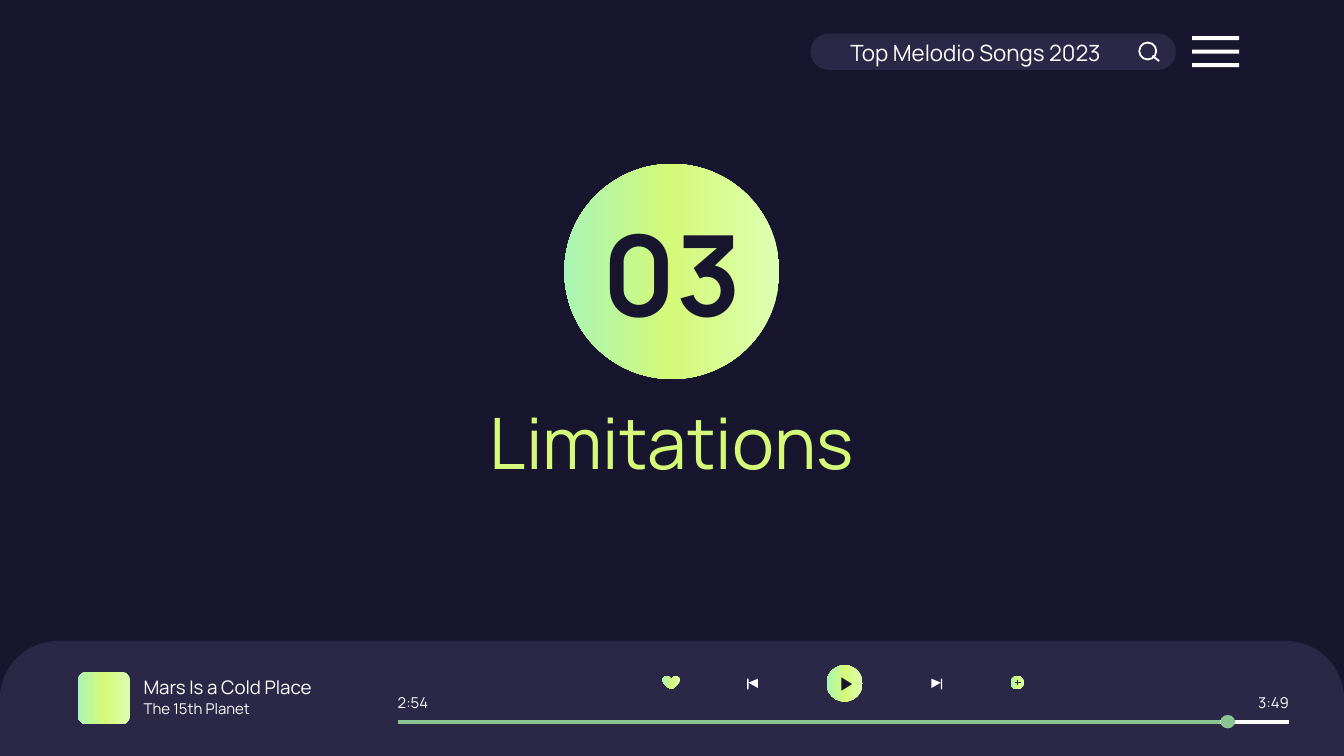
"""Build the "Limitations" section slide styled as a music player."""
from copy import deepcopy

from pptx import Presentation
from pptx.dml.color import RGBColor
from pptx.enum.shapes import MSO_CONNECTOR, MSO_SHAPE
from pptx.enum.text import MSO_ANCHOR, MSO_AUTO_SIZE, PP_ALIGN
from pptx.oxml.ns import qn
from pptx.util import Inches, Pt

RECT, OVAL, RING = MSO_SHAPE.RECTANGLE, MSO_SHAPE.OVAL, MSO_SHAPE.DONUT
PILL, TAB, HEART = MSO_SHAPE.ROUNDED_RECTANGLE, MSO_SHAPE.ROUND_2_SAME_RECTANGLE, MSO_SHAPE.HEART
LEFT, CENTER, RIGHT = PP_ALIGN.LEFT, PP_ALIGN.CENTER, PP_ALIGN.RIGHT

FONT = "Manrope"
NAVY, PANEL, WHITE, LIME, GREEN = "17162E", "2A2747", "FFFFFF", "D5F979", "88C591"
GRADIENT = [(0, "DDFFB2"), (0.5, LIME), (1, "A9F5B4")]

MENU_BARS = [(RECT, (8.87, 0.27 + 0.1 * i, 0.35, 0.03), WHITE, ()) for i in range(3)]
SHAPES = [
    (PILL, (6.03, 0.25, 2.72, 0.27), PANEL, (0.5,)),
    *MENU_BARS,
    (RING, (8.47, 0.31, 0.14, 0.14), WHITE, (0.1,)),
    (TAB, (0, 4.77, 10, 0.86), PANEL, (0.5, 0)),
    (PILL, (0.58, 5, 0.39, 0.39), GRADIENT, (0.167,)),
    (HEART, (4.93, 5.03, 0.13, 0.1), GRADIENT, ()),
    (OVAL, (7.52, 5.03, 0.1, 0.1), GRADIENT, ()),
    (OVAL, (6.15, 4.95, 0.27, 0.27), GRADIENT, ()),
    (OVAL, (4.2, 1.22, 1.6, 1.6), GRADIENT, ()),
    (RECT, (7, 5.05, 0.01, 0.08), WHITE, ()),
    (RECT, (5.56, 5.05, 0.01, 0.08), WHITE, ()),
]
POLYGONS = [
    ([(8.58, 0.41), (8.57, 0.42), (8.62, 0.46), (8.63, 0.45)], WHITE),
    ([(6.26, 5.04), (6.26, 5.14), (6.34, 5.09)], NAVY),
    ([(6.93, 5.05), (6.93, 5.12), (7, 5.08)], WHITE),
    ([(5.64, 5.05), (5.57, 5.08), (5.64, 5.12)], WHITE),
]
PLUS = [((7.57, 5.06), (7.57, 5.1)), ((7.6, 5.08), (7.55, 5.08))]
TRACK_START, TRACK_END, TRACK_Y, PLAYED = 2.96, 9.59, 5.37, 9.08
LABELS = [
    ("Mars Is a Cold Place", (0.97, 5.03, 1.91, 0.17), dict(size=10)),
    ("The 15th Planet", (0.97, 5.19, 1.15, 0.17), dict(size=8)),
    ("2:54", (2.96, 5.14, 0.27, 0.17), dict(size=8, inset=0)),
    ("3:49", (9.32, 5.14, 0.27, 0.17), dict(size=8, inset=0, align=RIGHT)),
    ("03", (4.2, 1.56, 1.6, 0.92), dict(size=60, color=NAVY, bold=True, align=CENTER)),
]


def rgb(value):
    return RGBColor.from_string(value)


def paint(sp, fill):
    sp.shadow.inherit = False
    sp.line.fill.background()
    if isinstance(fill, str):
        sp.fill.solid()
        sp.fill.fore_color.rgb = rgb(fill)
        return
    sp.fill.gradient()
    sp.fill.gradient_angle = 180
    stops = sp._element.spPr.find(qn("a:gradFill")).find(qn("a:gsLst"))
    stops.insert(1, deepcopy(stops[0]))
    for stop, (position, color) in zip(sp.fill.gradient_stops, fill):
        stop.position = position
        stop.color.rgb = rgb(color)


def add_shape(s, kind, box, fill, adjustments):
    sp = s.shapes.add_shape(kind, *map(Inches, box))
    for i, value in enumerate(adjustments):
        sp.adjustments[i] = value
    paint(sp, fill)


def add_polygon(s, points, fill):
    start, *rest = [(Inches(x), Inches(y)) for x, y in points]
    builder = s.shapes.build_freeform(*start, scale=1.0)
    builder.add_line_segments(rest, close=True)
    paint(builder.convert_to_shape(), fill)


def add_line(s, start, end, color, width):
    line = s.shapes.add_connector(MSO_CONNECTOR.STRAIGHT, *map(Inches, (*start, *end)))
    line.line.color.rgb = rgb(color)
    line.line.width = Pt(width)
    spPr = line._element.spPr
    spPr.append(spPr.makeelement(qn("a:effectLst"), {}))


def write(sp, text, box, size=12, color=WHITE, bold=False, align=LEFT, inset=0.1):
    sp.left, sp.top, sp.width, sp.height = map(Inches, box)
    tf = sp.text_frame
    tf.word_wrap = True
    tf.auto_size = MSO_AUTO_SIZE.NONE
    tf.vertical_anchor = MSO_ANCHOR.MIDDLE
    tf.margin_left = tf.margin_right = Inches(inset)
    tf.margin_top = tf.margin_bottom = Inches(0.1)
    p = tf.paragraphs[0]
    p.alignment = align
    p.space_before = Pt(0)
    r = p.add_run()
    r.text = text
    r.font.name, r.font.size, r.font.bold = FONT, Pt(size), bold
    r.font.color.rgb = rgb(color)
    return p


def main():
    prs = Presentation()
    prs.slide_width = Inches(10)
    prs.slide_height = prs.slide_width * 9 // 16
    s = prs.slides.add_slide(prs.slide_layouts[1])
    s.background.fill.solid()
    s.background.fill.fore_color.rgb = rgb(NAVY)

    for shape in SHAPES:
        add_shape(s, *shape)
    for points, fill in POLYGONS:
        add_polygon(s, points, fill)
    for start, end in PLUS:
        add_line(s, start, end, PANEL, 0.75)

    add_line(s, (TRACK_START, TRACK_Y), (TRACK_END, TRACK_Y), WHITE, 2.25)
    add_shape(s, OVAL, (PLAYED, TRACK_Y - 0.05, 0.11, 0.1), GREEN, ())
    add_line(s, (TRACK_START, TRACK_Y), (PLAYED, TRACK_Y), GREEN, 2.25)

    for text, box, style in LABELS:
        write(s.shapes.add_textbox(0, 0, 0, 0), text, box, **style)

    title, body = s.shapes.title, s.placeholders[1]
    write(title, "Limitations", (2.13, 2.82, 5.74, 0.92), size=38, color=LIME, align=CENTER)
    p = write(body, "Top Melodio Songs 2023", (5.67, 0.19, 2.68, 0.37), align=CENTER)
    p.line_spacing = 1.15
    p.space_after = Pt(16)
    pPr = p._p.get_or_add_pPr()
    pPr.set("marL", str(Inches(0.5)))
    pPr.set("indent", "0")
    pPr.append(pPr.makeelement(qn("a:buNone"), {}))
    for sp in (title, body):
        s.shapes._spTree.append(sp._element)

    prs.save("out.pptx")


if __name__ == "__main__":
    main()
